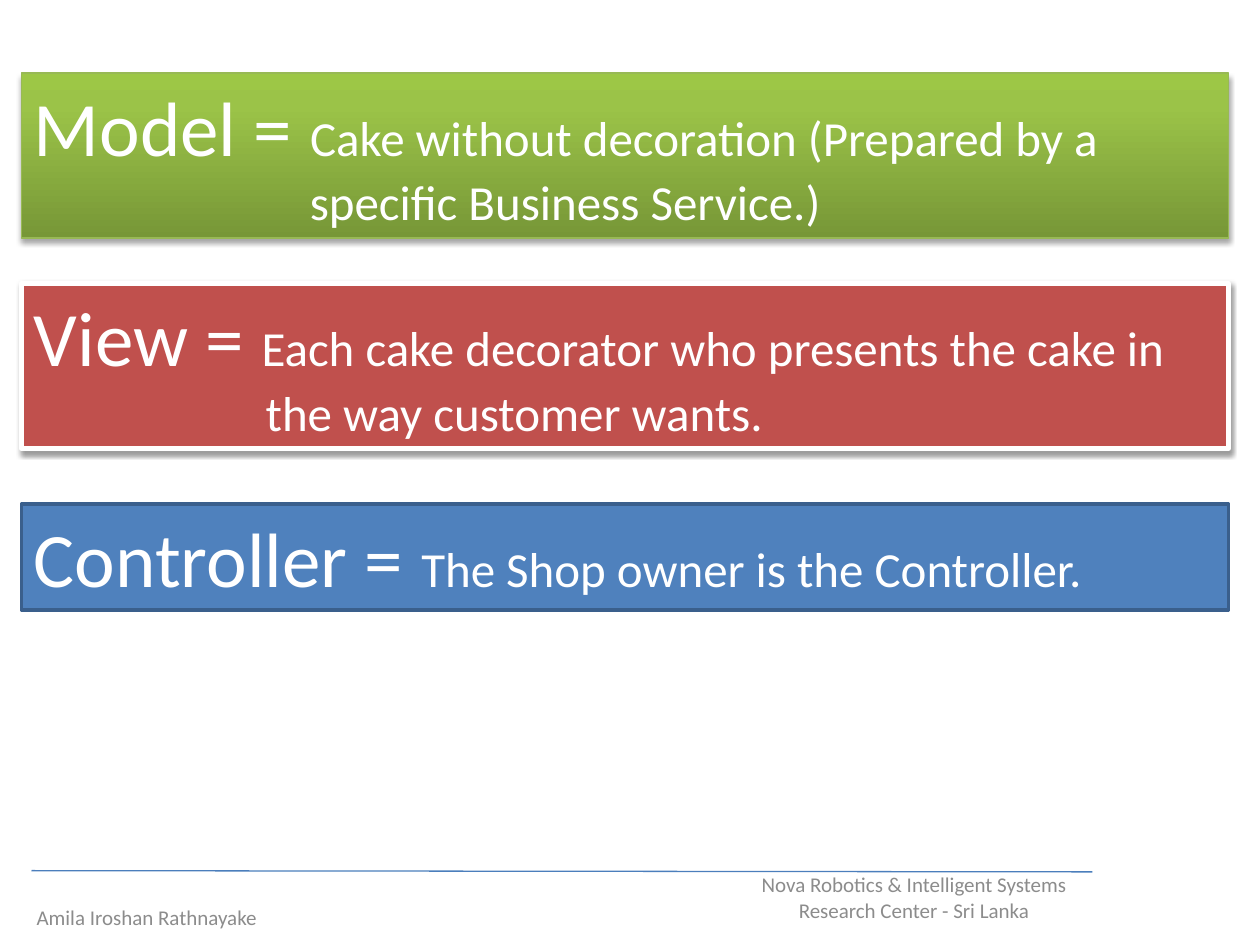
from copy import deepcopy

from lxml.etree import SubElement
from pptx import Presentation
from pptx.dml.color import RGBColor
from pptx.enum.shapes import MSO_CONNECTOR as Connector, MSO_SHAPE as Shape
from pptx.enum.text import MSO_ANCHOR as Anchor, MSO_AUTO_SIZE as AutoSize, PP_ALIGN as Align
from pptx.oxml.ns import qn
from pptx.util import Inches, Pt

WHITE = RGBColor(0xFF, 0xFF, 0xFF)
GRAY = RGBColor(0x8C, 0x8C, 0x8C)
RULE_BLUE = RGBColor(0x4B, 0x7E, 0xBC)
RED = RGBColor(0xC0, 0x50, 0x4D)
BLUE = RGBColor(0x4F, 0x81, 0xBD)
DARK_BLUE = RGBColor(0x3A, 0x5F, 0x8C)
GREEN_EDGE = RGBColor(0x98, 0xB9, 0x55)
GREEN_STOPS = [
    (0, RGBColor(0x77, 0x97, 0x37)),
    (0.8, RGBColor(0x9B, 0xC3, 0x48)),
    (1, RGBColor(0x9D, 0xC7, 0x46)),
]

FONT = "Calibri"
BAND_LEFT, BAND_WIDTH = 0.17, 9.58
BANDS = [
    dict(term="Model = ", lines=["Cake without decoration (Prepared by a",
                                 "specific Business Service.)"],
         indent=2.19, top=0.58, height=1.31, fill=GREEN_STOPS,
         line=(GREEN_EDGE, 0.75), shadow=(35, 3.1, 1.8)),
    dict(term="View = ", lines=["Each cake decorator who presents the cake in",
                                "the way customer wants."],
         indent=1.84, top=2.25, height=1.31, fill=RED,
         line=(WHITE, 3), shadow=(38, 3.1, 1.6)),
    dict(term="Controller = ", lines=["The Shop owner is the Controller."],
         indent=0, top=4, height=0.84, fill=BLUE,
         line=(DARK_BLUE, 2), shadow=None),
]
FOOTERS = [
    ("Nova Robotics & Intelligent Systems Research Center - Sri Lanka", 5.67, 6.92),
    ("Amila Iroshan Rathnayake", -0.42, 7.08),
]
FOOTER_WIDTH, FOOTER_HEIGHT = 3.17, 0.4
RULE = (0.25, 6.91, 8.67, 6.92)


def set_font(font, size, color):
    font.name = FONT
    font.size = Pt(size)
    font.color.rgb = color


def fill_gradient(shape, stops):
    shape.fill.gradient()
    shape.fill.gradient_angle = 90
    stop_list = shape._element.spPr.find(qn("a:gradFill")).find(qn("a:gsLst"))
    while len(stop_list) < len(stops):
        stop_list.append(deepcopy(stop_list[0]))
    for stop, (position, color) in zip(shape.fill.gradient_stops, stops):
        stop.position = position
        stop.color.rgb = color


def add_shadow(shape, opacity, blur, distance):
    effects = shape._element.spPr.find(qn("a:effectLst"))
    shadow = SubElement(effects, qn("a:outerShdw"), blurRad=str(Pt(blur)),
                        dist=str(Pt(distance)), dir="5400000", rotWithShape="0")
    color = SubElement(shadow, qn("a:srgbClr"), val="000000")
    SubElement(color, qn("a:alpha"), val=str(opacity * 1000))


def add_band(slide, band):
    shape = slide.shapes.add_shape(
        Shape.RECTANGLE, Inches(BAND_LEFT), Inches(band["top"]),
        Inches(BAND_WIDTH), Inches(band["height"]))
    if isinstance(band["fill"], list):
        fill_gradient(shape, band["fill"])
    else:
        shape.fill.solid()
        shape.fill.fore_color.rgb = band["fill"]
    line_color, line_width = band["line"]
    shape.line.color.rgb = line_color
    shape.line.width = Pt(line_width)
    shape.shadow.inherit = False
    if band["shadow"]:
        add_shadow(shape, *band["shadow"])

    frame = shape.text_frame
    frame.word_wrap = True
    frame.auto_size = AutoSize.SHAPE_TO_FIT_TEXT
    frame.vertical_anchor = Anchor.TOP
    for index, line in enumerate(band["lines"]):
        paragraph = frame.add_paragraph() if index else frame.paragraphs[0]
        paragraph.alignment = Align.LEFT
        set_font(paragraph.font, 28, WHITE)
        if index:
            paragraph._p.get_or_add_pPr().set("marL", str(Inches(band["indent"])))
        else:
            term = paragraph.add_run()
            term.text = band["term"]
            term.font.size = Pt(44)
        paragraph.add_run().text = line


def add_footer(slide, text, left, top):
    box = slide.shapes.add_textbox(
        Inches(left), Inches(top), Inches(FOOTER_WIDTH), Inches(FOOTER_HEIGHT))
    frame = box.text_frame
    frame.word_wrap = True
    frame.vertical_anchor = Anchor.MIDDLE
    paragraph = frame.paragraphs[0]
    paragraph.text = text
    paragraph.alignment = Align.CENTER
    set_font(paragraph.font, 12, GRAY)


def add_rule(slide):
    rule = slide.shapes.add_connector(Connector.STRAIGHT, *map(Inches, RULE))
    rule.line.color.rgb = RULE_BLUE
    rule.line.width = Pt(0.75)
    SubElement(rule._element.spPr, qn("a:effectLst"))


def main():
    presentation = Presentation()
    presentation.slide_width = Inches(10)
    presentation.slide_height = Inches(7.5)
    slide = presentation.slides.add_slide(presentation.slide_layouts[6])
    for footer in FOOTERS:
        add_footer(slide, *footer)
    add_rule(slide)
    for band in BANDS:
        add_band(slide, band)
    presentation.save("out.pptx")


if __name__ == "__main__":
    main()
